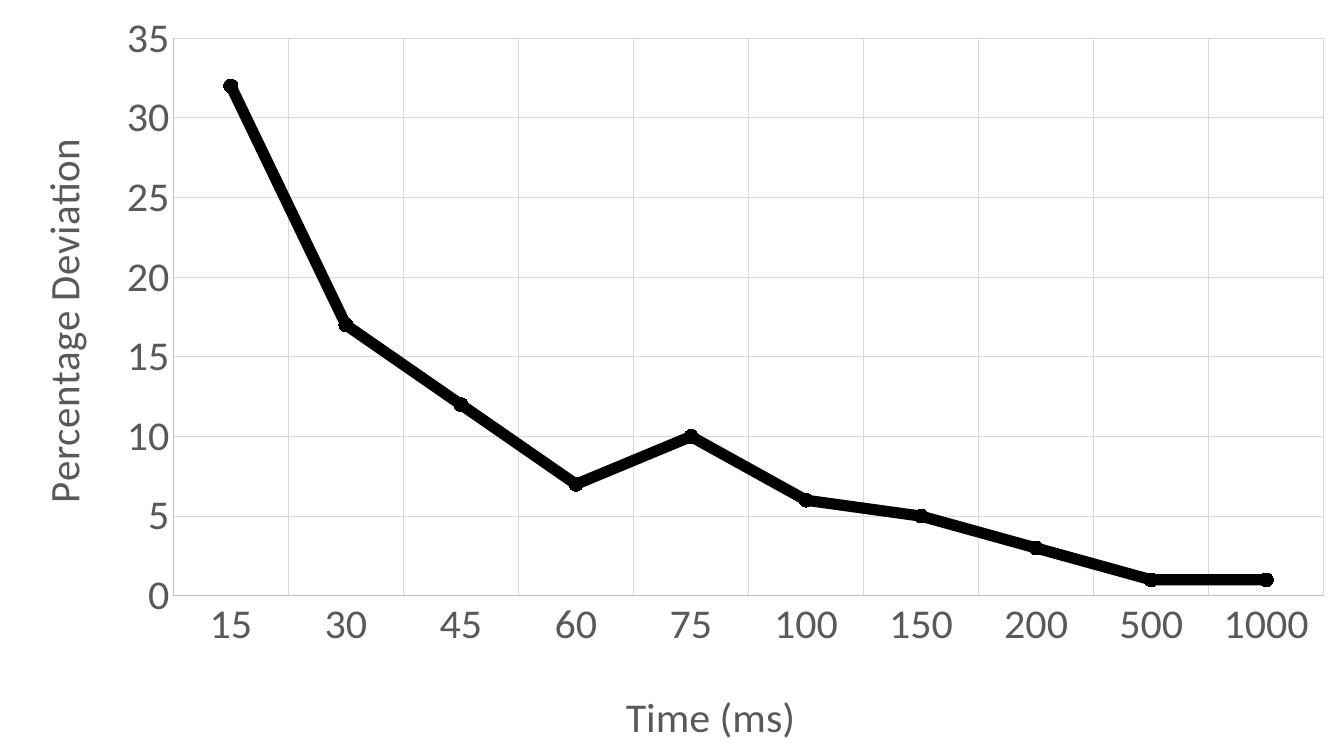
"""Builds a slide with a line chart of percentage deviation over time."""
from pptx import Presentation, util as u
from pptx.chart import data
from pptx.dml import color
from pptx.enum import chart as en
from pptx.oxml import parse_xml
from pptx.oxml.ns import nsdecls, qn

HUES = {"line": "000000", "text": "595959", "axis": "BFBFBF", "grid": "D9D9D9"}
FONT = "Calibri"
TIMES = ["15", "30", "45", "60", "75", "100", "150", "200", "500", "1000"]
VALS = [32, 17, 12, 7, 10, 6, 5, 3, 1, 1]


def style(font, size, hue):
    font.name, font.size, font.bold = FONT, u.Pt(size), False
    font.color.rgb = color.RGBColor.from_string(HUES[hue])


def place(node, index, **spots):
    for old in node.findall(qn("c:layout")):
        node.remove(old)
    tags = "".join(f'<c:{key} val="{val}"/>' for key, val in spots.items())
    node.insert(index, parse_xml(
        f'<c:layout {nsdecls("c")}><c:manualLayout>{tags}</c:manualLayout></c:layout>'))


deck = Presentation()
deck.slide_width, deck.slide_height = u.Inches(13.33), u.Inches(7.5)
slide = deck.slides.add_slide(deck.slide_layouts[6])

table = data.CategoryChartData()
table.categories = TIMES
table.add_series("Series 1", VALS)
chart = slide.shapes.add_chart(
    en.XL_CHART_TYPE.LINE_MARKERS, 0, 0, deck.slide_width, deck.slide_height, table).chart
chart.has_legend = chart.has_title = False
style(chart.font, 10, "line")
place(chart.plots[0]._element.getparent(), 0, layoutTarget="inner", xMode="edge",
      yMode="edge", x=0.129, y=0.052, w=0.856, h=0.757)

row = chart.plots[0].series[0]
chart.plots[0].vary_by_categories = False
row.smooth = False
black = color.RGBColor.from_string(HUES["line"])
row.format.line.color.rgb = black
row.format.line.width = u.Pt(8)
row.marker.style, row.marker.size = en.XL_MARKER_STYLE.CIRCLE, 10
for part in (row.marker.format.fill, row.marker.format.line.fill):
    part.solid()
    part.fore_color.rgb = black

for axis, name, turn, left, top in [
        (chart.category_axis, "Time (ms)", 0, 0.46, 0.925),
        (chart.value_axis, "Percentage Deviation", -5400000, 0.02, 0.19)]:
    axis.major_tick_mark = axis.minor_tick_mark = en.XL_TICK_MARK.NONE
    axis.has_major_gridlines = True
    for line, hue in [(axis.format.line, "axis"), (axis.major_gridlines.format.line, "grid")]:
        line.color.rgb = color.RGBColor.from_string(HUES[hue])
        line.width = u.Pt(0.75)
    style(axis.tick_labels.font, 30, "text")
    title = axis.axis_title
    title.text_frame.text = name
    style(title.text_frame.paragraphs[0].runs[0].font, 30, "text")
    title._element.find(".//" + qn("a:bodyPr")).set("rot", str(turn))
    place(title._element, 1, xMode="edge", yMode="edge", x=left, y=top)

scale = chart.value_axis
scale.minimum_scale, scale.maximum_scale, scale.major_unit = 0, 35, 5
scale.tick_labels.number_format = "General"
scale.tick_labels.number_format_is_linked = False

deck.save("out.pptx")
